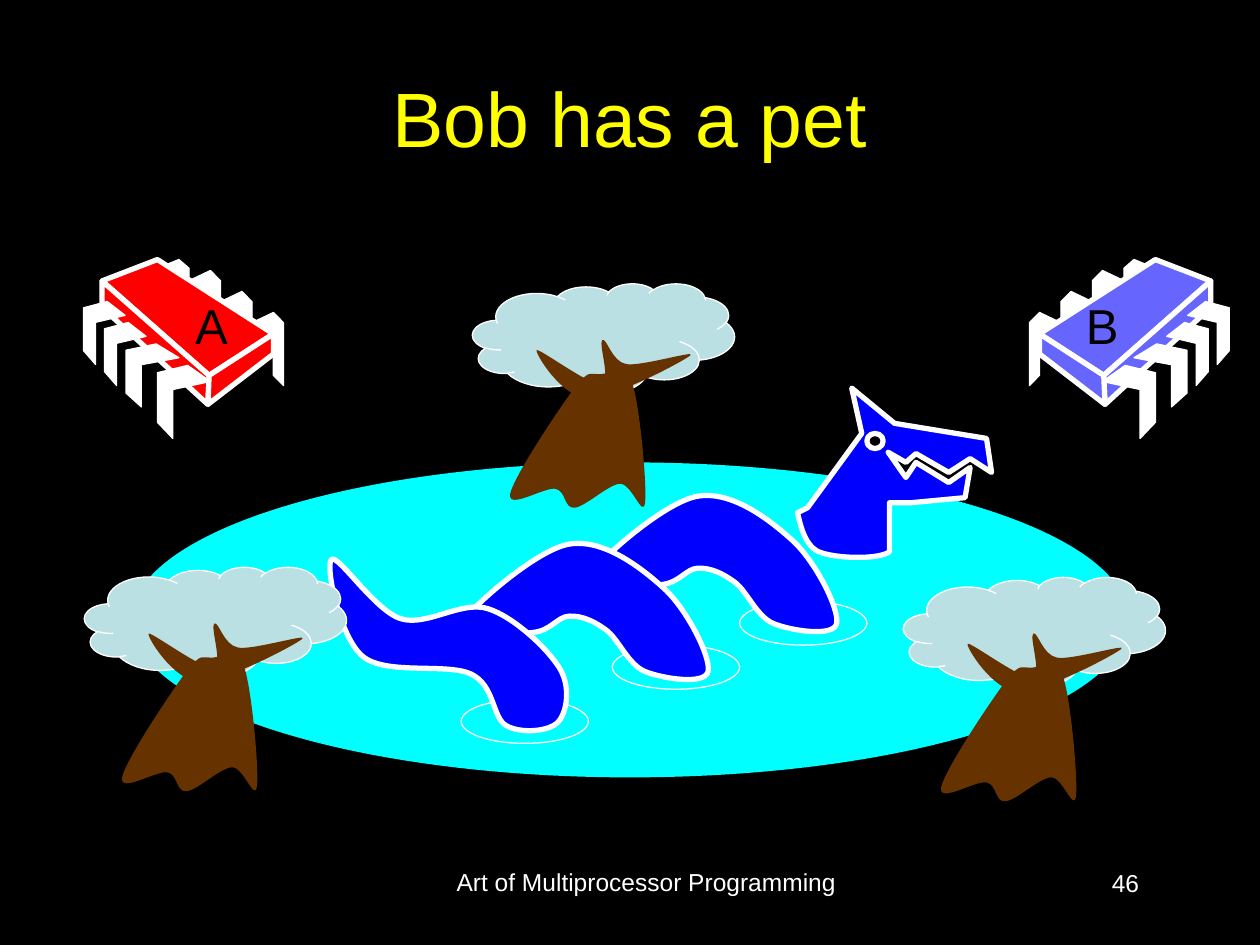
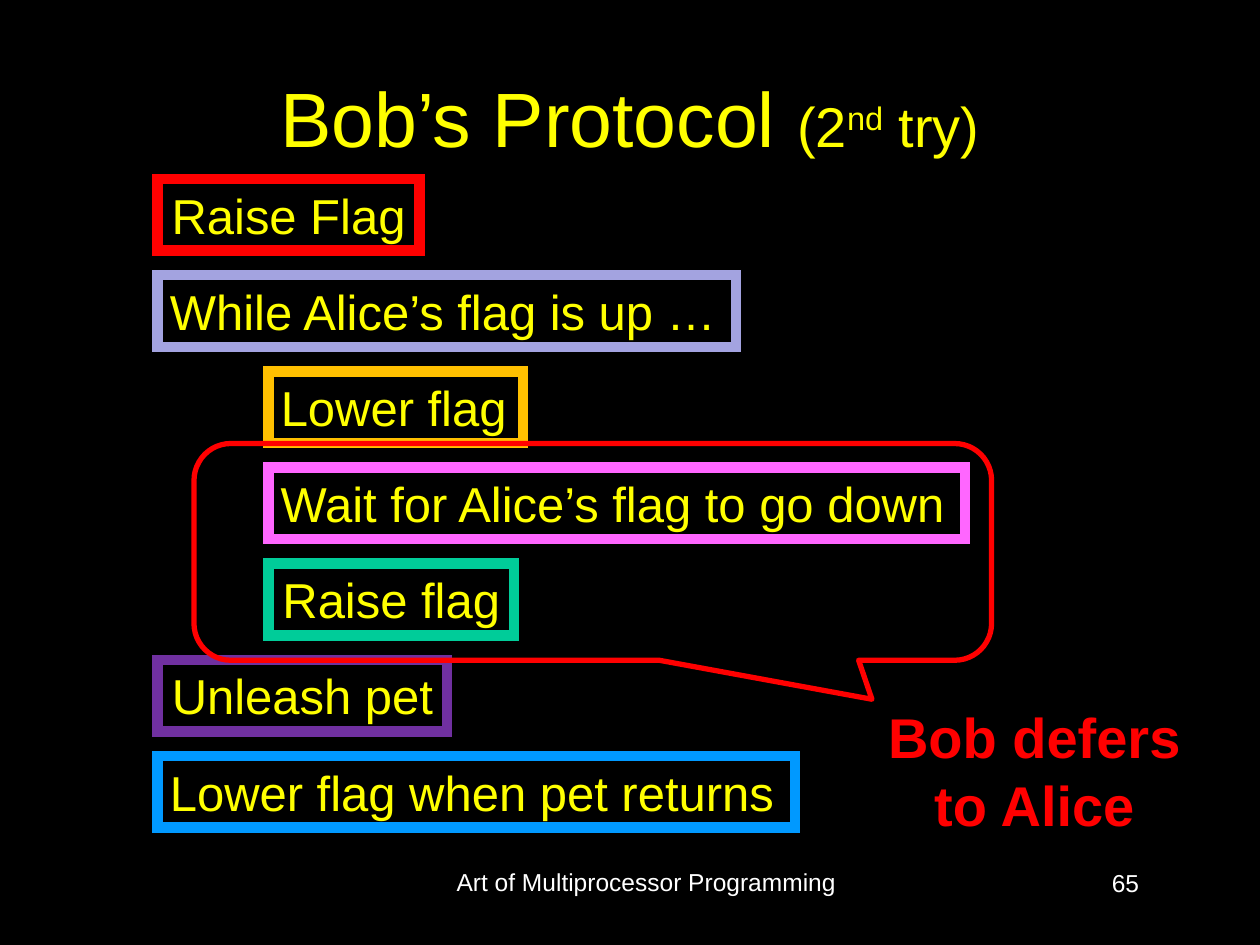
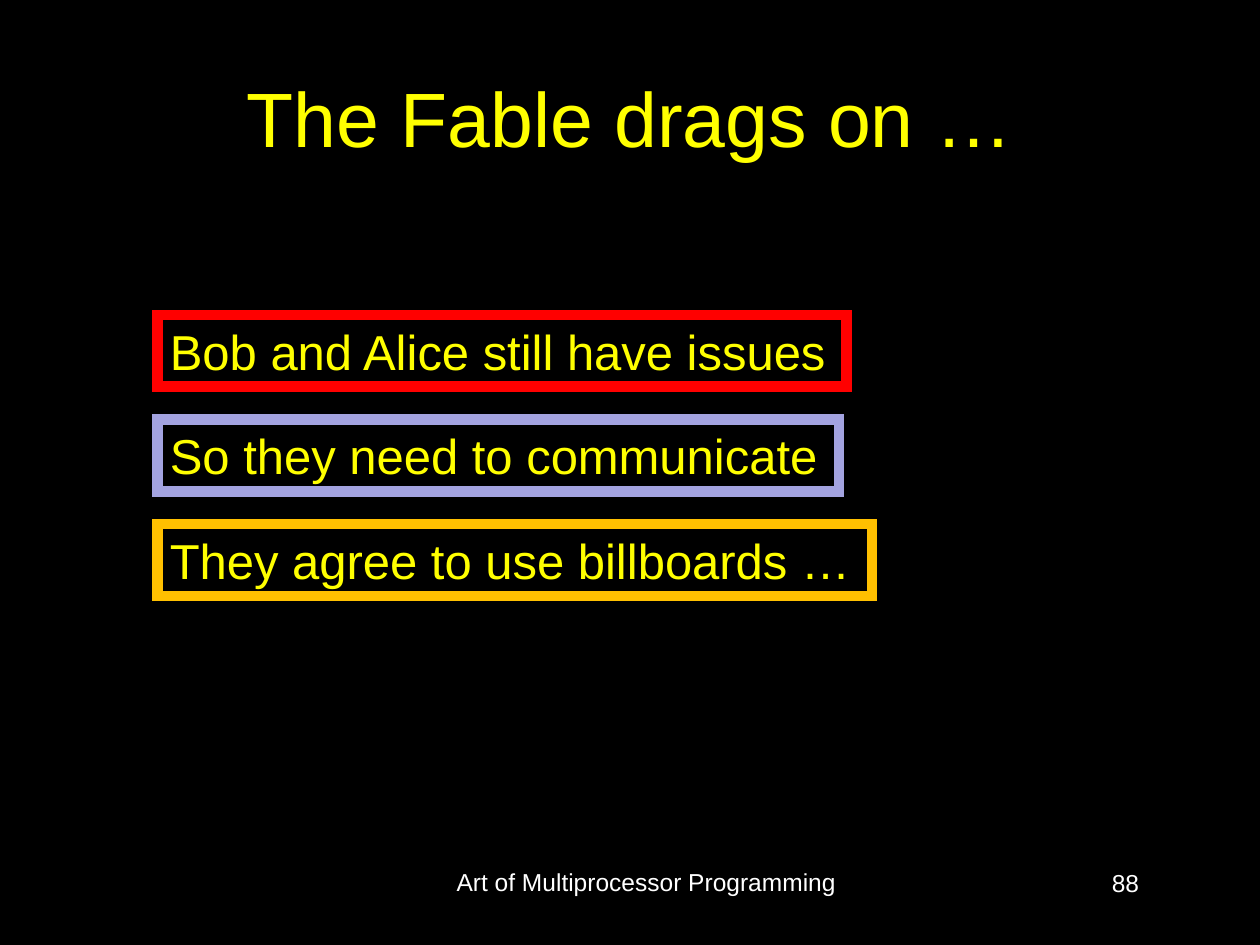
from pptx import Presentation
from pptx.dml.color import RGBColor
from pptx.enum.shapes import MSO_SHAPE as SHAPE
from pptx.enum.text import MSO_ANCHOR as ANCHOR, MSO_AUTO_SIZE as AUTO_SIZE, PP_ALIGN as ALIGN
from pptx.oxml.ns import qn
from pptx.util import Inches, Pt
from lxml import etree

BLACK, WHITE, YELLOW, RED = "000000", "FFFFFF", "FFFF00", "FF0000"
LAVENDER, GOLD, PINK = "A3A3E0", "FFC000", "FF66FF"
GREEN, PURPLE, SKY = "00CC99", "7030A0", "0099FF"
WATER, SERPENT, LEAVES, BARK, CHIP_BLUE = "00FFFF", "0000FF", "BBE0E3", "663300", "6666FF"
FONT = "Arial"

TITLE = {"size": Pt(44), "color": YELLOW}
TITLE_ASIDE = {"size": Pt(32), "color": YELLOW}
FOOTER = {"size": Pt(14), "color": WHITE}
STEP = {"size": Pt(28), "color": YELLOW}
CHIP_LETTER = {"size": Pt(28), "color": BLACK}
REMARK = {"size": Pt(32), "color": RED, "bold": True}

THIN_WHITE = {"line": WHITE, "width": .75}
THICK_WHITE = {"line": WHITE, "width": 3}
STEP_HEIGHT = .57
OUTER, INNER = 1.25, 2.13  # left edges of plain and indented steps

# Chip legs, as fractions of a leg's width and height
BACK_LEG = [(0, .14), (.68, 0), (1, .14), (1, 1), (.68, .86), (.68, .29), (0, .43)]
FRONT_LEG = [(.57, 0), (1, .22), (.29, .33), (.29, 1), (0, .78), (0, .1)]
LEGS_PER_SIDE = 4
CHIP_AXIS = 5.21  # the two chips mirror each other about this x

# The serpent, in slide inches
HUMP = [(6.64, 4.95), (6.14, 4.95), (5.83, 4.62), (5.54, 4.51),
        (5.25, 4.64), (4.66, 4.6), (5.53, 3.94), (6.29, 4.29)]
TAIL = [(2.63, 4.44), (3.18, 4.91), (3.87, 4.83), (4.44, 5.3),
        (4.43, 5.73), (4.02, 5.76), (3.74, 5.35), (2.88, 5.21)]
EAR = [(6.41, 4.03), (6.84, 3.44), (6.76, 3.08), (7.1, 3.36)]
UPPER_JAW = [(7.83, 3.48), (7.87, 3.75), (7.7, 3.64), (7.53, 3.75), (7.27, 3.6),
             (7.19, 3.67), (7.05, 3.59)]
LOWER_JAW = [(7.19, 3.79), (7.27, 3.67), (7.53, 3.83), (7.7, 3.71), (7.66, 3.95),
             (7.23, 3.99), (7.06, 3.99)]
NECK = [(7.06, 4.38), (6.5, 4.38), (6.33, 4.07)]

# A tree's wood, in inches from the corner of its crown
TRUNK = [(.81, .83), (1.02, .72), (1.27, .8), (1.37, 1.74), (1.17, 1.59),
         (.81, 1.78), (.66, 1.63), (.3, 1.67)]
BRANCHES = [(.51, .53), (.91, .91), (1.73, .57), (1.22, .64), (1.03, .45), (1.02, .8)]


def rgb(hex_color):
    return RGBColor.from_string(hex_color)


def paint(shape, fill=None, line=None, width=.75):
    shape.shadow.inherit = False
    if fill:
        shape.fill.solid()
        shape.fill.fore_color.rgb = rgb(fill)
    else:
        shape.fill.background()
    if line:
        shape.line.color.rgb = rgb(line)
        shape.line.width = Pt(width)
    else:
        shape.line.fill.background()


def write(frame, runs, align=ALIGN.LEFT, anchor=ANCHOR.TOP, wrap=True, grow=False):
    """Fill a text frame with one paragraph of (text, format, raise in percent) runs."""
    frame.word_wrap = wrap
    frame.vertical_anchor = anchor
    frame.auto_size = AUTO_SIZE.SHAPE_TO_FIT_TEXT if grow else AUTO_SIZE.NONE
    paragraph = frame.paragraphs[0]
    paragraph.alignment = align
    for text, style, raised in runs:
        run = paragraph.add_run()
        run.text = text
        run.font.name = FONT
        for key, value in style.items():
            if key == "color":
                run.font.color.rgb = rgb(value)
            else:
                setattr(run.font, key, value)
        if raised:
            run.font._element.set("baseline", str(raised * 1000))


def add_text(slide, place, runs, **layout):
    box = slide.shapes.add_textbox(*map(Inches, place))
    write(box.text_frame, runs, **layout)


def add_preset(shapes, preset, place, adjustments=(), **colours):
    shape = shapes.add_shape(preset, *map(Inches, place))
    for index, value in enumerate(adjustments):
        shape.adjustments[index] = value
    paint(shape, **colours)
    return shape


def shift(points, dx, dy):
    return [(x + dx, y + dy) for x, y in points]


def curve_controls(points, index):
    """Controls that bend one side so that it runs smoothly into its neighbours.

    At each end the curve heads along the line between the two adjoining points.
    """
    before, start, end, after = (points[(index + step) % len(points)] for step in (-1, 0, 1, 2))
    leaving = tuple(s + (e - b) / 6 for b, s, e in zip(before, start, end))
    arriving = tuple(e - (a - s) / 6 for s, e, a in zip(start, end, after))
    return [leaving, arriving]


def add_outline(shapes, points, curved=(), **colours):
    """Draw a closed outline; curved holds the indexes of the sides that bend."""
    stops = []
    for index in range(len(points)):
        if index in curved:
            stops += curve_controls(points, index)
        stops.append(points[(index + 1) % len(points)])
    builder = shapes.build_freeform(*map(Inches, points[0]))
    builder.add_line_segments([tuple(map(Inches, stop)) for stop in stops], close=True)
    shape = builder.convert_to_shape()
    lines = iter(list(shape._element.iter(qn("a:lnTo"))))
    for index in range(len(points)):
        side = next(lines)
        if index in curved:
            side.tag = qn("a:cubicBezTo")
            for control_line in (next(lines), next(lines)):
                side.append(control_line[0])
                control_line.getparent().remove(control_line)
    paint(shape, **colours)


def add_smooth_outline(shapes, points, **colours):
    add_outline(shapes, points, curved=range(len(points)), **colours)


def add_chip(slide, colour, mirrored=False):
    chip = slide.shapes.add_group_shape().shapes

    def add_part(points, **colours):
        if mirrored:
            points = [(2 * CHIP_AXIS - x, y) for x, y in points]
        add_outline(chip, points, **colours)

    def add_leg(leg, left, bottom, width, height):
        add_part([(left + x * width, bottom - (1 - y) * height) for x, y in leg],
                 fill=WHITE, **THIN_WHITE)

    for index in range(LEGS_PER_SIDE):
        farthest = index == LEGS_PER_SIDE - 1
        add_leg(BACK_LEG, 2 - index / 4, 3.06 - index / 6, .25, .5 if farthest else .58)

    back, right, front, left = (1.25, 2.06), (2.17, 2.65), (1.66, 2.98), (.81, 2.23)
    right_foot, front_foot, left_foot = (2.17, 2.81), (1.65, 3.21), (.81, 2.44)
    for face in ([back, right, front, left],
                 [left, front, front_foot, left_foot],
                 [right, right_foot, front_foot, front]):
        add_part(face, fill=colour, **THICK_WHITE)

    add_leg(FRONT_LEG, 1.25, 3.48, .42, .58)
    add_leg(FRONT_LEG, 1, 3.23, .42, .5)
    for index in range(2):
        add_leg(FRONT_LEG, .83 - index / 6, 3.06 - index / 6, .33, .5)


def add_tree(slide, left, top):
    tree = slide.shapes.add_group_shape().shapes
    add_preset(tree, SHAPE.CLOUD_CALLOUT, (left, top, 2.08, .87), (.02, .49),
               fill=LEAVES, **THIN_WHITE)
    for wood in (TRUNK, BRANCHES):
        add_smooth_outline(tree, shift(wood, left, top), fill=BARK)


def add_serpent(slide):
    shapes = slide.shapes
    for left, top in ((4.86, 5.12), (3.66, 5.55), (5.87, 4.77)):
        add_preset(shapes, SHAPE.OVAL, (left, top, 1.01, .35), **THIN_WHITE)
    for hump in (HUMP, shift(HUMP, -1.02, .38)):
        add_smooth_outline(shapes, hump, fill=SERPENT, **THICK_WHITE)
    face = EAR + UPPER_JAW + LOWER_JAW
    neck_sides = range(len(face), len(face) + len(NECK) - 1)
    add_outline(shapes, face + NECK, curved=neck_sides, fill=SERPENT, **THICK_WHITE)
    add_preset(shapes, SHAPE.OVAL, (6.88, 3.44, .13, .12), fill=BLACK, **THICK_WHITE)
    add_smooth_outline(shapes, TAIL, fill=SERPENT, **THICK_WHITE)


def add_steps(slide, top, pitch, steps):
    """Stack framed lines of text at an equal pitch."""
    for row, (text, left, width, colour, align) in enumerate(steps):
        place = (left, top + row * pitch, width, STEP_HEIGHT)
        frame = add_preset(slide.shapes, SHAPE.RECTANGLE, place,
                           fill=BLACK, line=colour, width=6)
        write(frame.text_frame, [(text, STEP, 0)], align, wrap=False, grow=True)


def add_page(prs, number, title_runs):
    slide = prs.slides.add_slide(prs.slide_layouts[6])
    add_text(slide, (.5, .3, 9, 1.25), title_runs, align=ALIGN.CENTER, anchor=ANCHOR.MIDDLE)
    add_text(slide, (3.42, 6.83, 3.42, .52),
             [("Art of Multiprocessor Programming", FOOTER, 0)], align=ALIGN.CENTER)
    add_text(slide, (7.06, 6.84, 2.08, .5), [(str(number), FOOTER, 0)], align=ALIGN.RIGHT)
    return slide


def add_pet_page(prs):
    slide = add_page(prs, 46, [("Bob has a pet", TITLE, 0)])
    add_chip(slide, RED)
    add_chip(slide, CHIP_BLUE, mirrored=True)
    add_preset(slide.shapes, SHAPE.OVAL, (1.04, 3.67, 7.92, 2.5), fill=WATER)
    for letter, left in (("A", 1.45), ("B", 8.52)):
        add_text(slide, (left, 2.3, .46, .57), [(letter, CHIP_LETTER, 0)], wrap=False, grow=True)
    add_serpent(slide)
    for left, top in ((3.75, 2.25), (7.17, 4.58), (.67, 4.5)):
        add_tree(slide, left, top)


def add_protocol_page(prs):
    slide = add_page(prs, 65, [("Bob’s Protocol ", TITLE, 0), ("(2", TITLE_ASIDE, 0),
                               ("nd", TITLE_ASIDE, 30), (" try)", TITLE_ASIDE, 0)])
    steps = [
        ("Raise Flag", OUTER, 2.08, RED, ALIGN.CENTER),
        ("While Alice’s flag is up …", OUTER, 4.59, LAVENDER, ALIGN.LEFT),
        ("Lower flag", INNER, 2.02, GOLD, ALIGN.LEFT),
        ("Wait for Alice’s flag to go down", INNER, 5.53, PINK, ALIGN.LEFT),
        ("Raise flag", INNER, 1.95, GREEN, ALIGN.CENTER),
        ("Unleash pet", OUTER, 2.3, PURPLE, ALIGN.CENTER),
        ("Lower flag when pet returns", OUTER, 5.06, SKY, ALIGN.LEFT),
    ]
    first_top, last_top = 1.42, 6
    add_steps(slide, first_top, (last_top - first_top) / (len(steps) - 1), steps)
    add_preset(slide.shapes, SHAPE.ROUNDED_RECTANGULAR_CALLOUT, (1.54, 3.52, 6.33, 1.72),
               (.35, .68, .17), line=RED, width=3)
    add_text(slide, (6.79, 5.53, 2.84, 1.17), [("Bob defers to Alice", REMARK, 0)],
             align=ALIGN.CENTER, grow=True)


def add_fable_page(prs):
    slide = add_page(prs, 88, [("The Fable drags on …", TITLE, 0)])
    add_steps(slide, 2.5, .83, [
        ("Bob and Alice still have issues", OUTER, 5.47, RED, ALIGN.LEFT),
        ("So they need to communicate", OUTER, 5.41, LAVENDER, ALIGN.LEFT),
        ("They agree to use billboards …", OUTER, 5.67, GOLD, ALIGN.LEFT),
    ])


def set_backdrop(prs, colour):
    backdrop = prs.slide_master.background.fill
    backdrop.solid()
    backdrop.fore_color.rgb = rgb(colour)


def square_corners(prs):
    """Give the step frames mitred corners instead of the theme's rounded ones."""
    for slide in prs.slides:
        for shape in slide.shapes:
            outline = shape._element.find(qn("p:spPr") + "/" + qn("a:ln"))
            if outline is not None and outline.get("w") == str(Pt(6)):
                etree.SubElement(outline, qn("a:miter"), lim="800000")


def main():
    prs = Presentation()
    prs.slide_width, prs.slide_height = Inches(10), Inches(7.5)
    set_backdrop(prs, BLACK)
    add_pet_page(prs)
    add_protocol_page(prs)
    add_fable_page(prs)
    square_corners(prs)
    prs.save("out.pptx")


if __name__ == "__main__":
    main()
